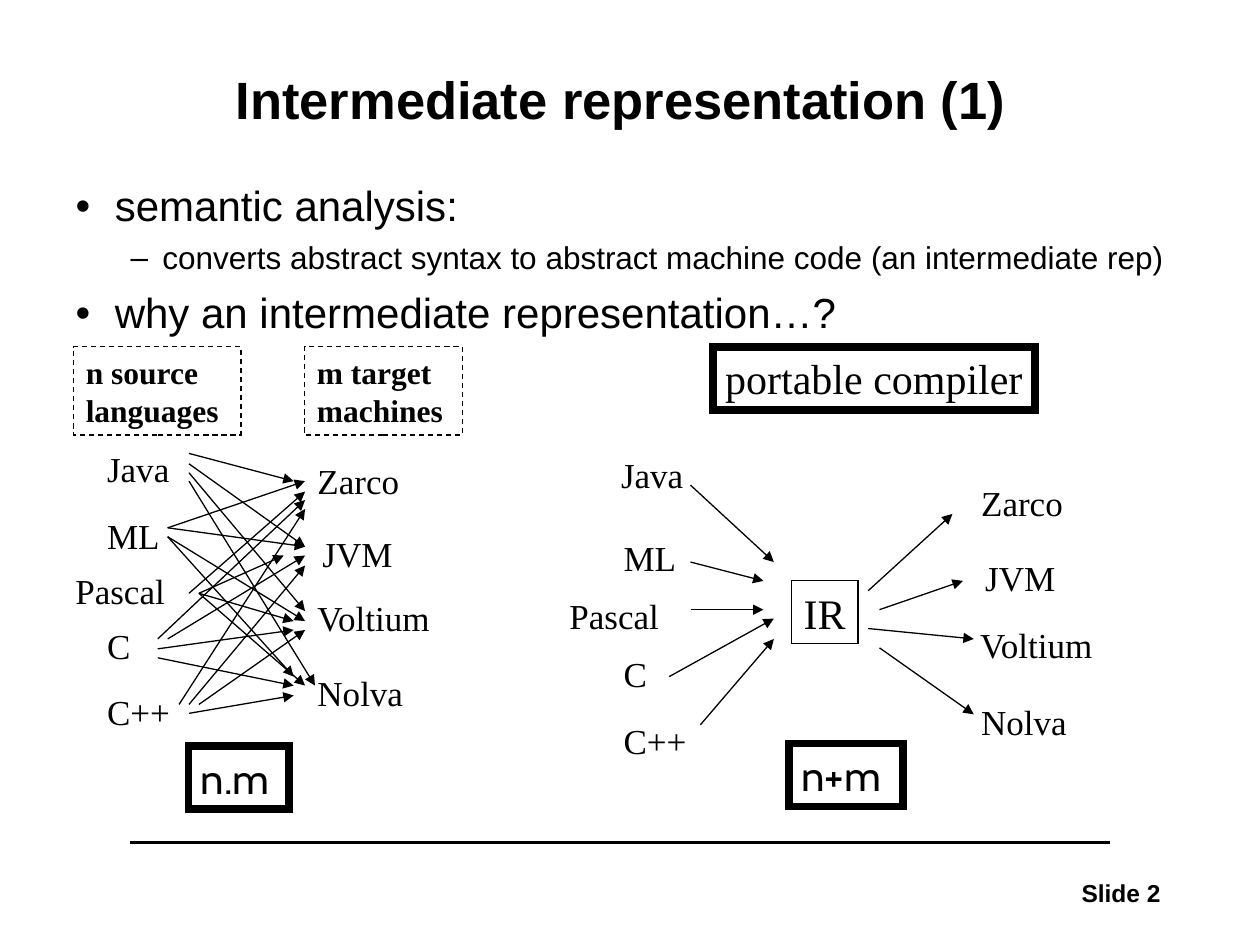
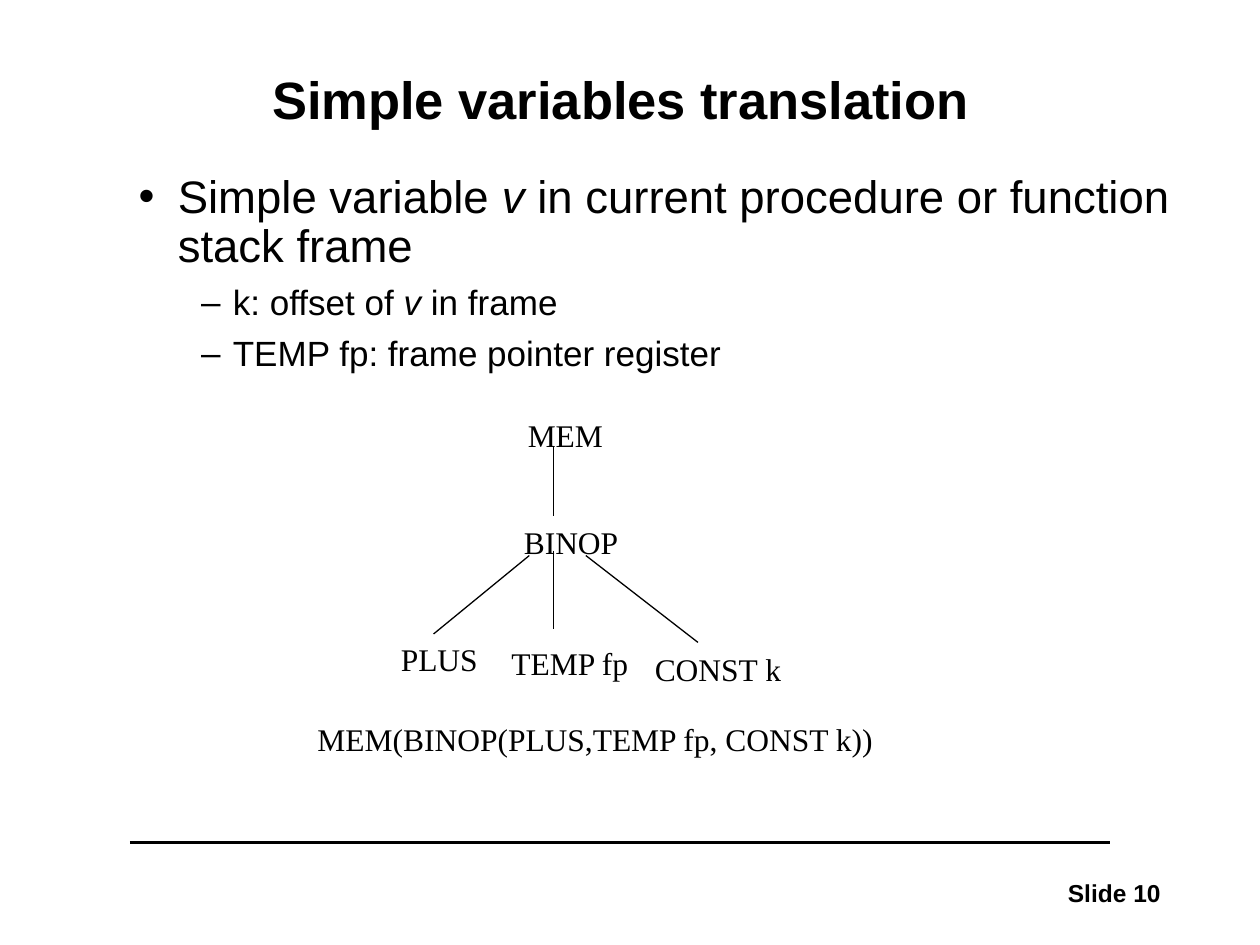
from lxml import etree
from pptx import Presentation
from pptx.dml.color import RGBColor
from pptx.enum.dml import MSO_LINE
from pptx.enum.shapes import MSO_CONNECTOR as CONNECTOR, MSO_SHAPE as SHAPE
from pptx.enum.text import MSO_ANCHOR as ANCHOR, MSO_AUTO_SIZE as AUTO_SIZE, PP_ALIGN as ALIGN
from pptx.oxml.ns import qn
from pptx.util import Cm, Pt

COLORS = {"ink": "000000"}
INK = RGBColor.from_string(COLORS["ink"])
SANS, SERIF, ROUND = "Arial", "Times New Roman", "Cabin"
TITLE_FORMAT = {"name": SANS, "size": Pt(30), "bold": True}
FOOTER_FORMAT = {"name": SANS, "size": Pt(14), "bold": True}
HEADING_FORMAT = {"name": SERIF, "size": Pt(18), "bold": True}
NAME_FORMAT = {"name": SERIF, "size": Pt(20)}
NODE_FORMAT = {"name": SERIF, "size": Pt(18)}


def add_label(slide, text, place, text_format, align=ALIGN.LEFT, frame=None, dash=None):
    """Add text at place (left, top, width, height in cm); frame is a border width in points."""
    box = [Cm(length) for length in place]
    if frame:
        label = slide.shapes.add_shape(SHAPE.RECTANGLE, *box)
        label.shadow.inherit = False
        label.fill.background()
        label.line.color.rgb = INK
        label.line.width = Pt(frame)
        label.line.dash_style = dash
        etree.SubElement(label._element.spPr.find(qn("a:ln")), qn("a:miter"), lim="800000")
    else:
        label = slide.shapes.add_textbox(*box)
    text_frame = label.text_frame
    text_frame.word_wrap = True
    text_frame.auto_size = AUTO_SIZE.NONE
    text_frame.vertical_anchor = ANCHOR.TOP
    if align == ALIGN.LEFT:
        text_frame.margin_right = 0
    paragraph = text_frame.paragraphs[0]
    paragraph.alignment = align
    run = paragraph.add_run()
    run.text = text
    run.font.color.rgb = INK
    for attribute, value in text_format.items():
        setattr(run.font, attribute, value)


def add_line(slide, ends, width=0.75, arrow=False):
    """Draw a line between ends (x1, y1, x2, y2 in cm)."""
    line = slide.shapes.add_connector(CONNECTOR.STRAIGHT, *[Cm(end) for end in ends])
    line.line.color.rgb = INK
    line.line.width = Pt(width)
    properties = line._element.spPr
    if arrow:
        etree.SubElement(properties.find(qn("a:ln")), qn("a:tailEnd"), type="triangle")
    etree.SubElement(properties, qn("a:effectLst"))


prs = Presentation()
prs.slide_width, prs.slide_height = Cm(25.4), Cm(19.05)

# Titles, lists and footers; *stars* enclose italics, a list row is (level, size, space before, text)
outlines = [
    {"number": 2, "title": "Intermediate representation (1)",
     "place": (1.27, 3.61, 22.66, 4.01), "margins": (0.79, 1.75),
     "points": [
         (0, 24, 0, "semantic analysis:"),
         (1, 18, 6.8, "converts abstract syntax to abstract machine code (an intermediate rep)"),
         (0, 24, 9, "why an intermediate representation…?")]},
    {"number": 10, "title": "Simple variables translation",
     "place": (2.54, 3.38, 22.86, 12.65), "margins": (0.79, 1.9),
     "points": [
         (0, 26, 0, "Simple variable *v* in current procedure or function stack frame"),
         (1, 20, 7.5, "k: offset of *v* in frame"),
         (1, 20, 7.5, "TEMP fp: frame pointer register")]},
]
HANGS = (0.79, 0.64)

for outline in outlines:
    slide = prs.slides.add_slide(prs.slide_layouts[1])
    add_line(slide, (2.62, 16.98, 22.38, 16.98), width=2)
    add_label(slide, f"Slide {outline['number']}", (19.41, 17.58, 4.24, 0.84),
              FOOTER_FORMAT, ALIGN.RIGHT)

    title, body = slide.shapes.title, slide.placeholders[1]
    for holder, place in ((title, (2.75, 0.84, 19.53, 2.44)), (body, outline["place"])):
        holder.left, holder.top, holder.width, holder.height = [Cm(length) for length in place]
        holder.text_frame.auto_size = AUTO_SIZE.NONE
        holder.text_frame.word_wrap = True

    title.text_frame.vertical_anchor = ANCHOR.MIDDLE
    heading = title.text_frame.paragraphs[0]
    heading.alignment = ALIGN.CENTER
    heading.line_spacing = 0.9
    run = heading.add_run()
    run.text = outline["title"]
    run.font.color.rgb = INK
    for attribute, value in TITLE_FORMAT.items():
        setattr(run.font, attribute, value)

    for index, (level, size, space, text) in enumerate(outline["points"]):
        point = body.text_frame.add_paragraph() if index else body.text_frame.paragraphs[0]
        properties = point._p.get_or_add_pPr()
        properties.set("marL", str(Cm(outline["margins"][level])))
        properties.set("indent", str(-Cm(HANGS[level])))
        for attribute, value in {"level": level, "line_spacing": 0.9,
                                 "space_before": Pt(space)}.items():
            setattr(point, attribute, value)
        for part_index, part in enumerate(text.split("*")):
            run = point.add_run()
            run.text = part
            run.font.color.rgb = INK
            for attribute, value in {"name": SANS, "size": Pt(size),
                                     "italic": part_index % 2 == 1}.items():
                setattr(run.font, attribute, value)

representation, translation = prs.slides

# Languages and machines, without and with an intermediate representation
name_widths = {"Java": 1.75, "ML": 1.55, "Pascal": 2.31, "C": 0.97, "C++": 1.78,
               "Zarco": 2.11, "JVM": 2.08, "Voltium": 2.87, "Nolva": 2.24}
direct_places = [(1.91, 8.89), (1.91, 10.24), (1.27, 11.35), (1.91, 12.47), (1.91, 13.79),
                 (6.15, 9.14), (6.25, 10.62), (6.15, 11.91), (6.15, 13.41)]
portable_places = [(12.27, 9.02), (12.32, 10.69), (11.23, 11.86), (12.32, 13.03), (12.32, 14.38),
                   (19.53, 9.58), (19.61, 11.1), (19.51, 12.45), (19.53, 14)]
for places in (direct_places, portable_places):
    for (name, width), (left, top) in zip(name_widths.items(), places):
        add_label(representation, name, (left, top, width, 1.12), NAME_FORMAT)

direct_arrows = [
    # Java
    (3.81, 9.14, 5.92, 9.7), (3.81, 9.35, 6.15, 11.02),
    (3.81, 9.53, 6.15, 12.32), (3.81, 9.7, 6.35, 13.82),
    # ML
    (3.38, 10.64, 6.15, 9.7), (3.38, 10.64, 6.15, 11.02),
    (3.38, 10.82, 6.15, 12.52), (3.38, 10.82, 5.92, 13.64),
    # Pascal
    (3.81, 11.96, 6.15, 9.91), (4.01, 11.96, 5.72, 11.2),
    (4.01, 11.96, 5.92, 12.52), (4.01, 11.96, 6.15, 13.82),
    # C
    (3.18, 12.88, 6.15, 10.08), (3.38, 12.88, 6.15, 11.2),
    (3.18, 13.08, 5.92, 12.7), (3.18, 13.26, 5.92, 13.82),
    # C++
    (3.61, 14.2, 6.15, 10.26), (3.81, 14.2, 6.15, 11.4),
    (4.01, 14.2, 6.15, 12.7), (3.81, 14.38, 5.92, 14.02),
]
arrows_into_ir = [
    (13.92, 9.78, 15.6, 11.33), (13.92, 11.33, 15.39, 11.71), (13.92, 12.29, 15.39, 12.29),
    (13.49, 13.64, 15.6, 12.47), (14.12, 14.61, 15.6, 12.88),
]
arrows_from_ir = [
    (17.5, 11.91, 19.2, 10.36), (17.73, 12.29, 19.41, 11.71),
    (17.5, 12.67, 19.63, 12.88), (17.73, 13.06, 19.63, 14.4),
]
for ends in direct_arrows + arrows_into_ir + arrows_from_ir:
    add_line(representation, ends, arrow=True)

for text, place in (("n source languages", (1.48, 6.99, 3.38, 1.78)),
                    ("m target machines", (6.14, 6.99, 3.18, 1.78))):
    add_label(representation, text, place, HEADING_FORMAT, frame=0.75, dash=MSO_LINE.DASH)

for text, left, top, width, font, frame in (
        ("n.m", 3.8, 15.04, 2.03, ROUND, 4.5),
        ("n+m", 15.9, 14.99, 2.31, ROUND, 4.5),
        ("portable compiler", 14.37, 6.99, 6.5, SERIF, 4.5),
        ("IR", 15.95, 11.71, 1.35, SERIF, 0.75)):
    add_label(representation, text, (left, top, width, 1.27),
              {"name": font, "size": Pt(24)}, frame=frame)

# Expression tree of a simple variable
for node, left, top, width in (
        ("MEM", 10.39, 8.26, 2.01),
        ("BINOP", 10.31, 10.41, 2.41),
        ("PLUS", 7.83, 12.78, 2.06),
        ("TEMP fp", 10.06, 12.85, 2.9),
        ("CONST k", 12.95, 12.98, 3.05),
        ("MEM(BINOP(PLUS,TEMP fp, CONST k))", 6.15, 14.4, 11.73)):
    add_label(translation, node, (left, top, width, 1.02), NODE_FORMAT)

for branch in ((11.16, 9.02, 11.16, 10.41), (11.16, 11.1, 11.16, 12.67),
               (10.67, 11.2, 8.74, 12.78), (11.81, 11.2, 14.07, 12.95)):
    add_line(translation, branch)

prs.save("out.pptx")
